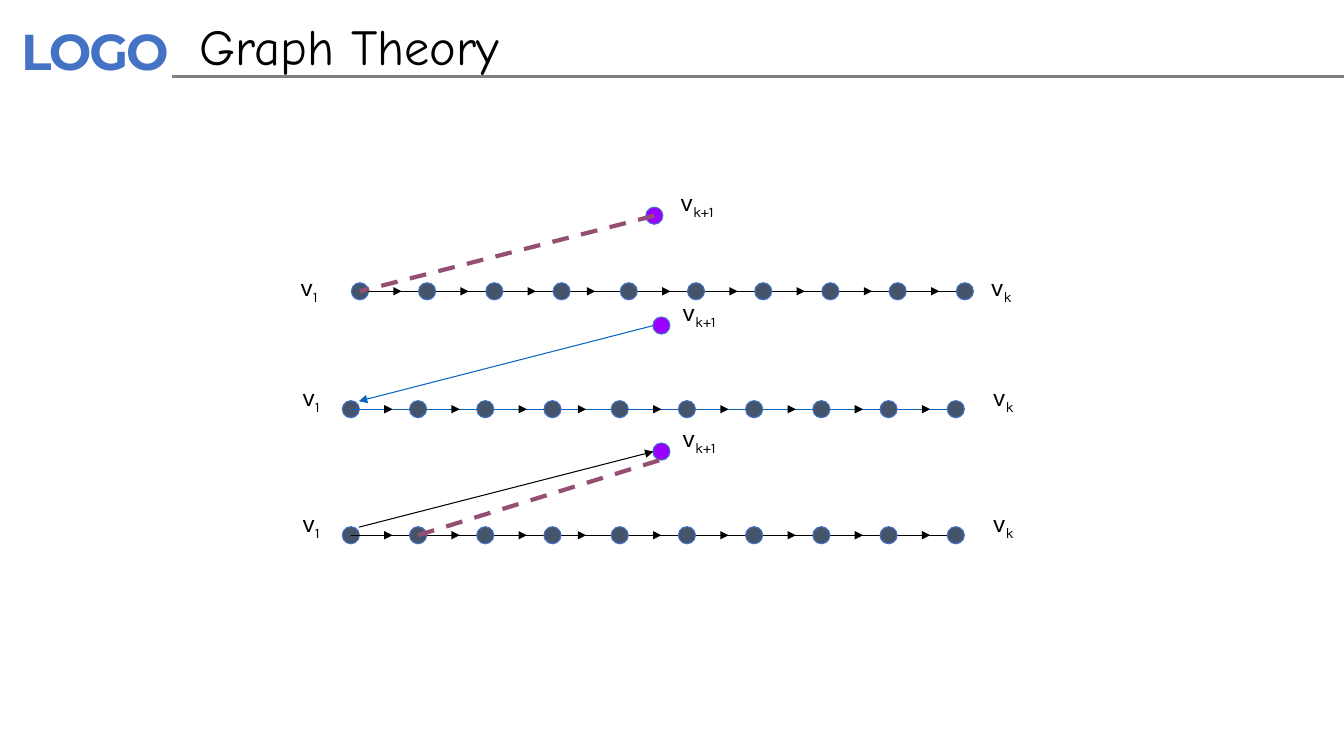
import dataclasses

import lxml.etree
import pptx
import pptx.dml.color
import pptx.enum.dml
import pptx.enum.shapes
import pptx.enum.text
import pptx.oxml.ns
import pptx.util

Inches = pptx.util.Inches


@dataclasses.dataclass(frozen=True)
class Theme:
    """Colours, fonts and type sizes of the slide."""

    black: str = "000000"
    gray: str = "808080"
    blue: str = "4472C4"
    link_blue: str = "0563C1"
    slate: str = "44546A"
    violet: str = "9900FF"
    plum: str = "954F72"
    logo_font: str = "Montserrat"
    title_font: str = "Comic Neue"
    label_font: str = "Karla"
    title_size: int = 36
    label_size: int = 18
    thin: float = 0.75
    rule: float = 2
    thick: float = 3


@dataclasses.dataclass(frozen=True)
class Link:
    """A line between two points measured from the first vertex."""

    start: tuple
    end: tuple
    color: str
    dashed: bool = False


THEME = Theme()
NODE_COUNT = 10
STEP = 2 / 3
NODE_SIZE = 0.17
MARK_LENGTH = 0.08


def rgb(color):
    """Turn a hex string into a colour."""
    return pptx.dml.color.RGBColor.from_string(color)


def add_text(slide, box, text, *, font, size, color=THEME.black, bold=False,
             subscript="", spacing=None, margins=(0.1, 0.05), wrap=True):
    """Add a text box with an optional subscript after the text."""
    shape = slide.shapes.add_textbox(*map(Inches, box))
    frame = shape.text_frame
    frame.word_wrap = wrap
    frame.auto_size = pptx.enum.text.MSO_AUTO_SIZE.SHAPE_TO_FIT_TEXT
    frame.margin_left = frame.margin_right = Inches(margins[0])
    frame.margin_top = frame.margin_bottom = Inches(margins[1])
    for content in filter(None, (text, subscript)):
        run = frame.paragraphs[0].add_run()
        run.text = content
        run.font.name = font
        run.font.size = pptx.util.Pt(size)
        run.font.bold = bold
        run.font.color.rgb = rgb(color)
        if spacing is not None:
            run._r.get_or_add_rPr().set("spc", str(int(spacing * 100)))
    if subscript:
        run._r.get_or_add_rPr().set("baseline", "-25000")


def add_line(slide, start, end, color, width=THEME.thin, dashed=False, arrow=False):
    """Draw a straight line, dashed or ending in an arrowhead if asked."""
    connector = slide.shapes.add_connector(
        pptx.enum.shapes.MSO_CONNECTOR.STRAIGHT, *map(Inches, (*start, *end)))
    connector.line.color.rgb = rgb(color)
    connector.line.width = pptx.util.Pt(width)
    if dashed:
        connector.line.dash_style = pptx.enum.dml.MSO_LINE.DASH
    qn = pptx.oxml.ns.qn
    properties = connector._element.spPr
    if arrow:
        lxml.etree.SubElement(properties.find(qn("a:ln")), qn("a:tailEnd"), type="triangle")
    lxml.etree.SubElement(properties, qn("a:effectLst"))


def add_node(slide, x, y, color=THEME.slate):
    """Draw a vertex centred on a point."""
    shape = slide.shapes.add_shape(
        pptx.enum.shapes.MSO_SHAPE.OVAL, Inches(x - NODE_SIZE / 2),
        Inches(y - NODE_SIZE / 2), Inches(NODE_SIZE), Inches(NODE_SIZE))
    shape.shadow.inherit = False
    shape.fill.solid()
    shape.fill.fore_color.rgb = rgb(color)
    shape.line.color.rgb = rgb(THEME.blue)
    shape.line.width = pptx.util.Pt(THEME.thin)


def add_header(slide, left, top, width):
    """Place the logo text, the title and the rule below them."""
    add_text(slide, (left + 0.08, top + 0.13, 1.86, 0.74), "LOGO",
             font=THEME.logo_font, size=THEME.title_size, color=THEME.blue,
             bold=True, spacing=-1.5, margins=(0.13, 0.07))
    add_line(slide, (left + 1.71, top + 0.76), (left + width, top + 0.76),
             THEME.gray, THEME.rule)
    add_text(slide, (left + 1.88, top + 0.1, 8.62, 0.71), "Graph Theory",
             font=THEME.title_font, size=THEME.title_size)


def add_path(slide, left, top, extra, label_left, label_top, links, color=THEME.black):
    """Draw a directed path from its first vertex, with the extra vertex and its links."""
    add_node(slide, left, top)
    add_line(slide, (left, top), (left + (NODE_COUNT - 1) * STEP, top), color)
    for index in range(1, NODE_COUNT):
        add_node(slide, left + index * STEP, top)
    for index in range(NODE_COUNT - 1):
        nudge = MARK_LENGTH if index == 3 else 0
        mark = left + index * STEP + STEP / 2 - nudge
        add_line(slide, (mark, top), (mark + MARK_LENGTH, top), THEME.black, arrow=True)
    add_node(slide, left + extra[0], top + extra[1], THEME.violet)
    for link in links:
        start, end = ((left + x, top + y) for x, y in (link.start, link.end))
        add_line(slide, start, end, link.color,
                 THEME.thick if link.dashed else THEME.thin,
                 dashed=link.dashed, arrow=not link.dashed)
    for x, y, width, subscript, wrap in (
            (0, 0, 0.49, "1", False),
            (6.85, 0, 0.48, "k", False),
            (3.77, -0.84, 1, "k+1", True)):
        add_text(slide, (label_left + x, label_top + y, width, 0.5), "v",
                 subscript=subscript, font=THEME.label_font,
                 size=THEME.label_size, wrap=wrap)


def main():
    """Build and save the slide."""
    presentation = pptx.Presentation()
    presentation.slide_width = Inches(13.33)
    presentation.slide_height = Inches(7.5)
    slide = presentation.slides.add_slide(presentation.slide_layouts[6])
    add_header(slide, 0, 0, 13.33)

    near_first, near_extra = (0.08, -0.08), (3, -0.83)
    add_path(slide, 3.48, 4.06, (3.08, -0.83), 2.9, 3.73,
             [Link(near_extra, near_first, THEME.link_blue)], THEME.link_blue)
    add_path(slide, 3.57, 2.89, (2.92, -0.75), 2.88, 2.64,
             [Link((2.92, -0.75), (0, 0), THEME.plum, dashed=True)])
    add_path(slide, 3.48, 5.31, (3.08, -0.83), 2.9, 4.98,
             [Link(near_first, near_extra, THEME.black),
              Link((STEP, 0), (3.08, -0.75), THEME.plum, dashed=True)])
    presentation.save("out.pptx")


if __name__ == "__main__":
    main()
